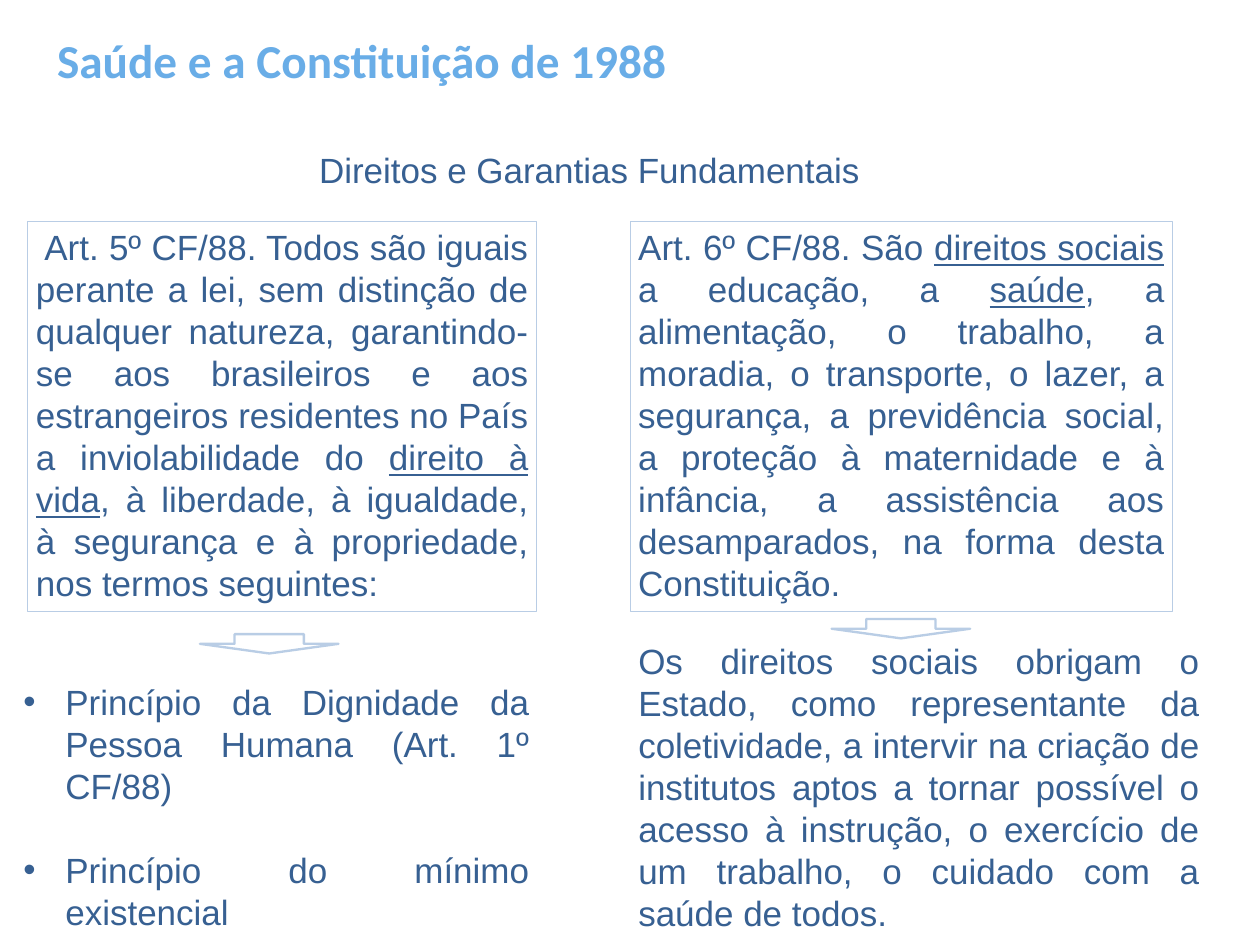
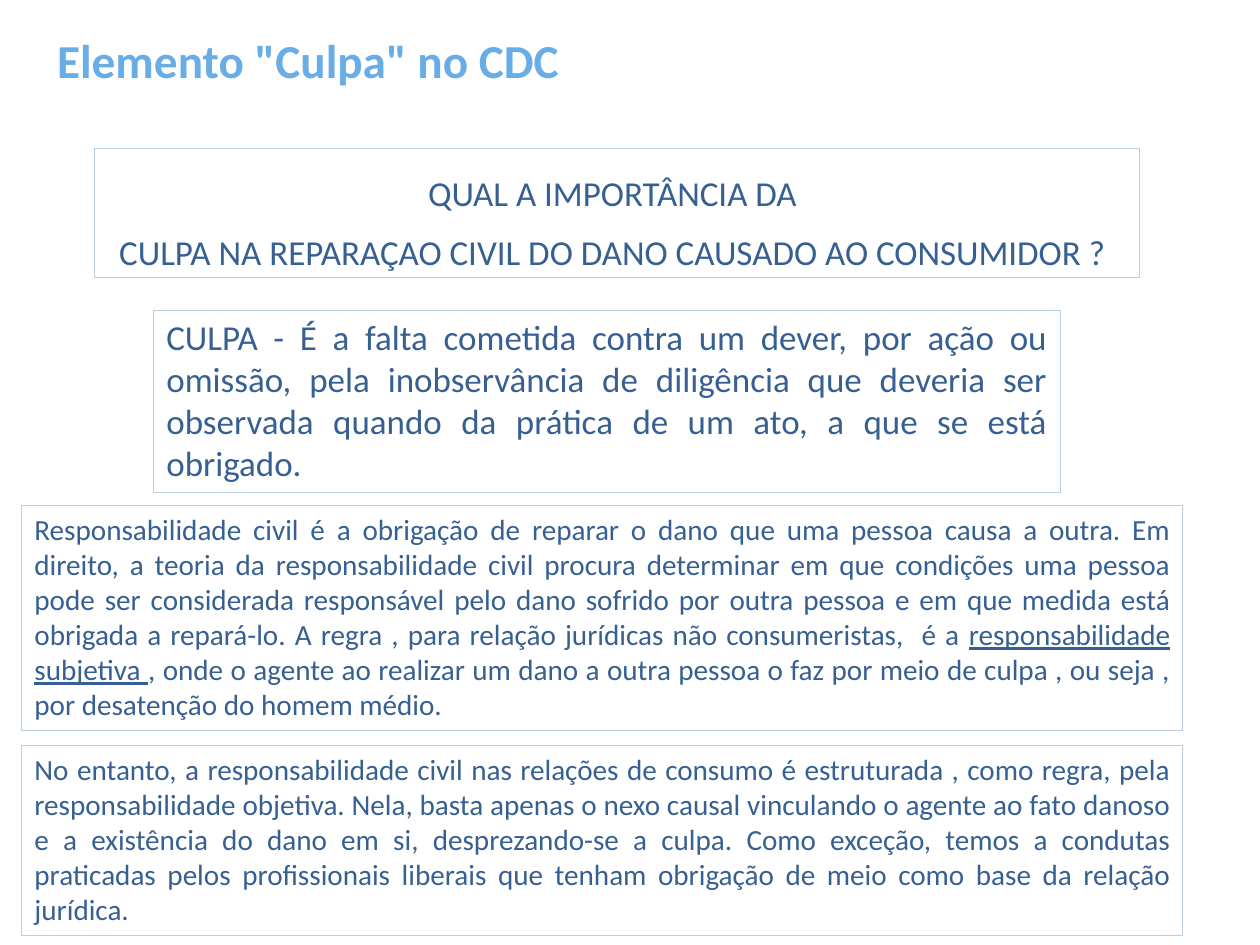
"""Builds two slides on health rights and on fault in consumer law."""
from dataclasses import dataclass

from lxml import etree
from pptx import Presentation
from pptx.dml.color import RGBColor
from pptx.enum.shapes import MSO_SHAPE
from pptx.enum.text import MSO_ANCHOR, MSO_AUTO_SIZE, PP_ALIGN
from pptx.oxml.ns import qn
from pptx.util import Inches, Pt

LEFT, CENTER, JUSTIFY = PP_ALIGN.LEFT, PP_ALIGN.CENTER, PP_ALIGN.JUSTIFY
TOP, MIDDLE = MSO_ANCHOR.TOP, MSO_ANCHOR.MIDDLE
GROW, FIXED = MSO_AUTO_SIZE.SHAPE_TO_FIT_TEXT, MSO_AUTO_SIZE.NONE
RECTANGLE, DOWN_ARROW = MSO_SHAPE.RECTANGLE, MSO_SHAPE.DOWN_ARROW
TITLE_ONLY = 5
COLUMNS, ROWS = 60, 45


@dataclass(frozen=True)
class Theme:
    """Colours, fonts, type sizes, line widths and margins."""
    title_color: RGBColor = RGBColor.from_string("69ADE7")
    text_color: RGBColor = RGBColor.from_string("376092")
    line_color: RGBColor = RGBColor.from_string("B9CDE5")
    law_font: str = "Arial"
    main_font: str = "Calibri"
    title_size: float = 40.5
    text_size: float = 30
    small_size: float = 25
    frame_width: float = 0.75
    arrow_width: float = 2
    tight: tuple = (0.1, 0.05)
    roomy: tuple = (0.15, 0.07)
    bullet_indent: float = 0.5
    bullet_gap: float = 36


def apply(target, **values):
    """Set each named attribute on the target."""
    for name, value in values.items():
        setattr(target, name, value)


class Deck:
    """Holds the theme, the presentation and the current slide."""

    def __init__(self, theme):
        """Start an empty 4:3 presentation."""
        self.theme = theme
        self.file = Presentation()
        apply(self.file, slide_width=Inches(15), slide_height=Inches(11.25))
        self.column = self.file.slide_width / COLUMNS
        self.row = self.file.slide_height / ROWS
        self.slide = None

    def place(self, column, row, columns, rows):
        """Turn grid cells into slide lengths."""
        return (round(column * self.column), round(row * self.row),
                round(columns * self.column), round(rows * self.row))

    def title_slide(self, title):
        """Add a slide and format its title."""
        theme = self.theme
        self.slide = self.file.slides.add_slide(self.file.slide_layouts[TITLE_ONLY])
        heading = self.slide.shapes.title
        left, top, width, height = self.place(2.32, 1.4, 40.96, 2.84)
        apply(heading, left=left, top=top, width=width, height=height)
        self.fill_text(heading.text_frame, [title], theme.main_font, theme.title_size,
                       LEFT, color=theme.title_color, bold=True, anchor=MIDDLE, fit=FIXED)

    def fill_text(self, frame, paragraphs, font, size, align, color=None, bold=False,
                  anchor=TOP, fit=GROW, wrap=True, margins=None, spacing=None, bullets=False):
        """Fill a text frame; underscores enclose underlined words."""
        side, edge = map(Inches, margins or self.theme.tight)
        apply(frame, word_wrap=wrap, auto_size=fit, vertical_anchor=anchor,
              margin_left=side, margin_right=side, margin_top=edge, margin_bottom=edge)
        for index, text in enumerate(paragraphs):
            paragraph = frame.add_paragraph() if index else frame.paragraphs[0]
            apply(paragraph, alignment=align, line_spacing=spacing)
            if bullets:
                self.bullet(paragraph, index)
            for part, words in enumerate(text.split("_")):
                run = paragraph.add_run()
                run.text = words
                apply(run.font, name=font, size=Pt(size), bold=bold, underline=part % 2 == 1)
                run.font.color.rgb = color or self.theme.text_color

    def bullet(self, paragraph, index):
        """Give a paragraph a hanging bullet and a gap above later items."""
        if index:
            paragraph.space_before = Pt(self.theme.bullet_gap)
        indent = Inches(self.theme.bullet_indent)
        properties = paragraph._p.get_or_add_pPr()
        properties.set("marL", str(indent))
        properties.set("indent", str(-indent))
        etree.SubElement(properties, qn("a:buFont")).set("typeface", self.theme.law_font)
        etree.SubElement(properties, qn("a:buChar")).set("char", "•")

    def outline(self, kind, area, width):
        """Add an unfilled preset shape with a pale line."""
        shape = self.slide.shapes.add_shape(kind, *self.place(*area))
        shape.shadow.inherit = False
        shape.fill.background()
        shape.line.color.rgb = self.theme.line_color
        shape.line.width = Pt(width)
        return shape

    def framed(self, area, paragraphs, font, size, align=JUSTIFY, **options):
        """Add a framed block of text."""
        frame = self.outline(RECTANGLE, area, self.theme.frame_width)
        self.fill_text(frame.text_frame, paragraphs, font, size, align, **options)

    def arrow(self, column, row):
        """Add a flat arrow pointing down."""
        self.outline(DOWN_ARROW, (column, row, 6.6, 0.92), self.theme.arrow_width)

    def text(self, area, paragraphs, align=JUSTIFY, **options):
        """Add unframed text in the law font."""
        box = self.slide.shapes.add_textbox(*self.place(*area))
        self.fill_text(box.text_frame, paragraphs, self.theme.law_font,
                       self.theme.text_size, align, **options)


def constitution_slide(deck):
    """Compare articles 5 and 6 of the Constitution."""
    theme = deck.theme
    deck.title_slide("Saúde e a Constituição de 1988")
    deck.text((14.8, 6.88, 27.24, 2.44), ["Direitos e Garantias Fundamentais"], LEFT, wrap=False)
    articles = [
        (1.32, 24.24, " Art. 5º CF/88. Todos são iguais perante a lei, sem distinção de qualquer "
         "natureza, garantindo-se aos brasileiros e aos estrangeiros residentes no País a "
         "inviolabilidade do _direito à vida_, à liberdade, à igualdade, à segurança e à "
         "propriedade, nos termos seguintes:"),
        (30, 25.84, "Art. 6º CF/88. São _direitos sociais_ a educação, a _saúde_, a alimentação, "
         "o trabalho, a moradia, o transporte, o lazer, a segurança, a previdência social, a "
         "proteção à maternidade e à infância, a assistência aos desamparados, na forma desta "
         "Constituição. "),
    ]
    for column, columns, article in articles:
        deck.framed((column, 10.56, columns, 18.56), [article], theme.law_font, theme.text_size)
    deck.arrow(9.52, 30.2)
    deck.arrow(39.6, 29.48)
    deck.text((0.72, 32.2, 24.88, 12.52),
              ["Princípio da Dignidade da Pessoa Humana (Art. 1º CF/88)",
               "Princípio do mínimo existencial"], bullets=True)
    deck.text((30, 30.24, 27.52, 14.56),
              ["Os direitos sociais obrigam o Estado, como representante da coletividade, a "
               "intervir na criação de institutos aptos a tornar possível o acesso à instrução, "
               "o exercício de um trabalho, o cuidado com a saúde de todos."])


def fault_slide(deck):
    """Explain the role of fault in consumer law."""
    theme = deck.theme
    deck.title_slide("Elemento \"Culpa\" no CDC")
    deck.framed((4.48, 7.08, 49.76, 6.12),
                ["QUAL A IMPORTÂNCIA DA ",
                 "CULPA NA REPARAÇAO CIVIL DO DANO CAUSADO AO CONSUMIDOR ? "],
                theme.main_font, theme.text_size, CENTER, margins=theme.roomy, spacing=1.4)
    explanations = [
        ((7.32, 14.76, 43.16, 8.68), theme.text_size,
         "CULPA - É a falta cometida contra um dever, por ação ou omissão, pela inobservância "
         "de diligência que deveria ser observada quando da prática de um ato, a que se está "
         "obrigado."),
        ((1.04, 24.08, 55.28, 10.72), theme.small_size,
         "Responsabilidade civil é a obrigação de reparar o dano que uma pessoa causa a outra. "
         "Em direito, a teoria da responsabilidade civil procura determinar em que condições "
         "uma pessoa pode ser considerada responsável pelo dano sofrido por outra pessoa e em "
         "que medida está obrigada a repará-lo. A regra , para relação jurídicas não "
         "consumeristas,  é a _responsabilidade subjetiva _, onde o agente ao realizar um dano "
         "a outra pessoa o faz por meio de culpa , ou seja , por desatenção do homem médio."),
        ((1.04, 35.52, 55.28, 9.04), theme.small_size,
         "No entanto, a responsabilidade civil nas relações de consumo é estruturada , como "
         "regra, pela responsabilidade objetiva. Nela, basta apenas o nexo causal vinculando o "
         "agente ao fato danoso e a existência do dano em si, desprezando-se a culpa. Como "
         "exceção, temos a condutas praticadas pelos profissionais liberais que tenham "
         "obrigação de meio como base da relação jurídica."),
    ]
    for area, size, explanation in explanations:
        deck.framed(area, [explanation], theme.main_font, size, margins=theme.roomy)


def main():
    """Build and save the presentation."""
    deck = Deck(Theme())
    constitution_slide(deck)
    fault_slide(deck)
    deck.file.save("out.pptx")


if __name__ == "__main__":
    main()
